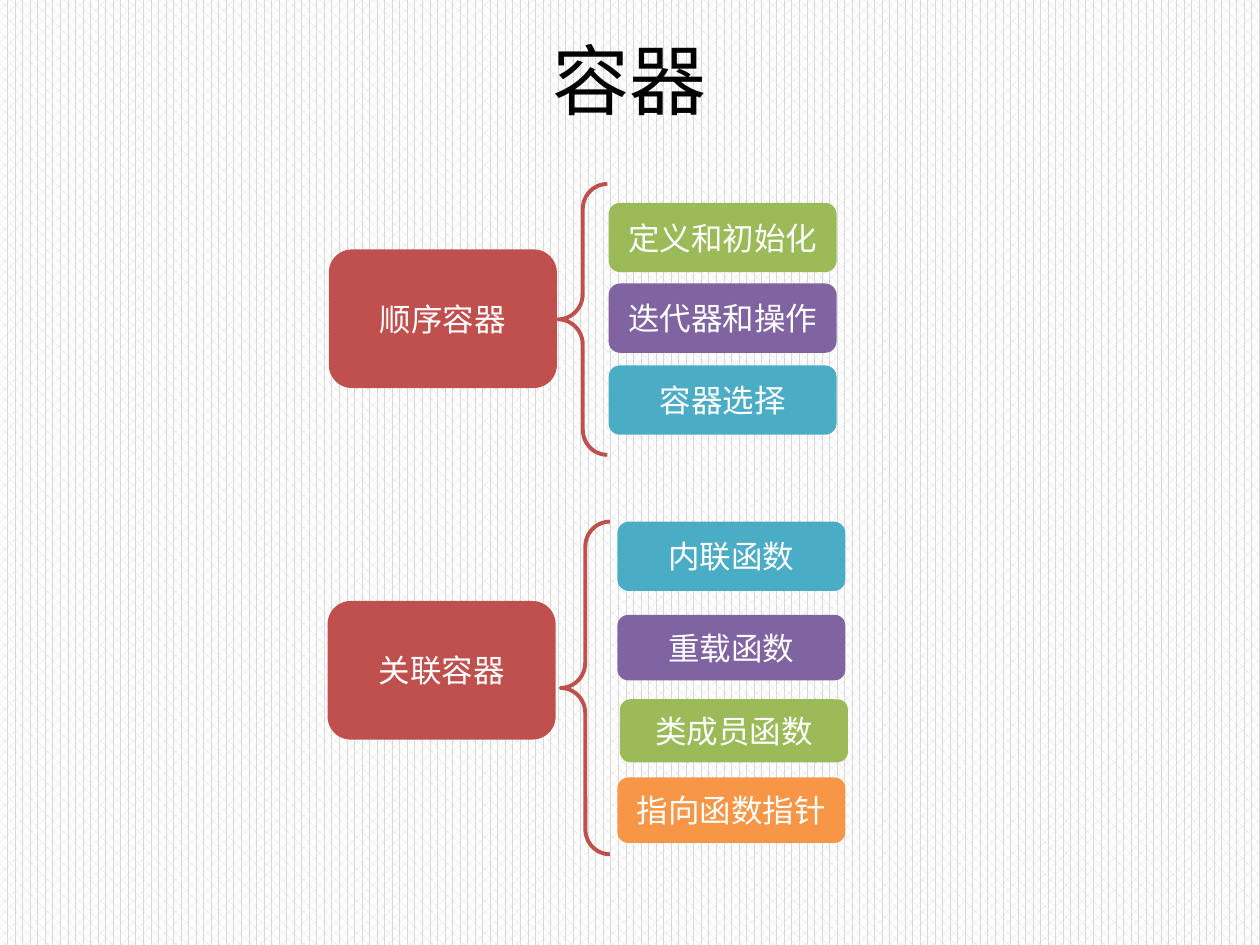
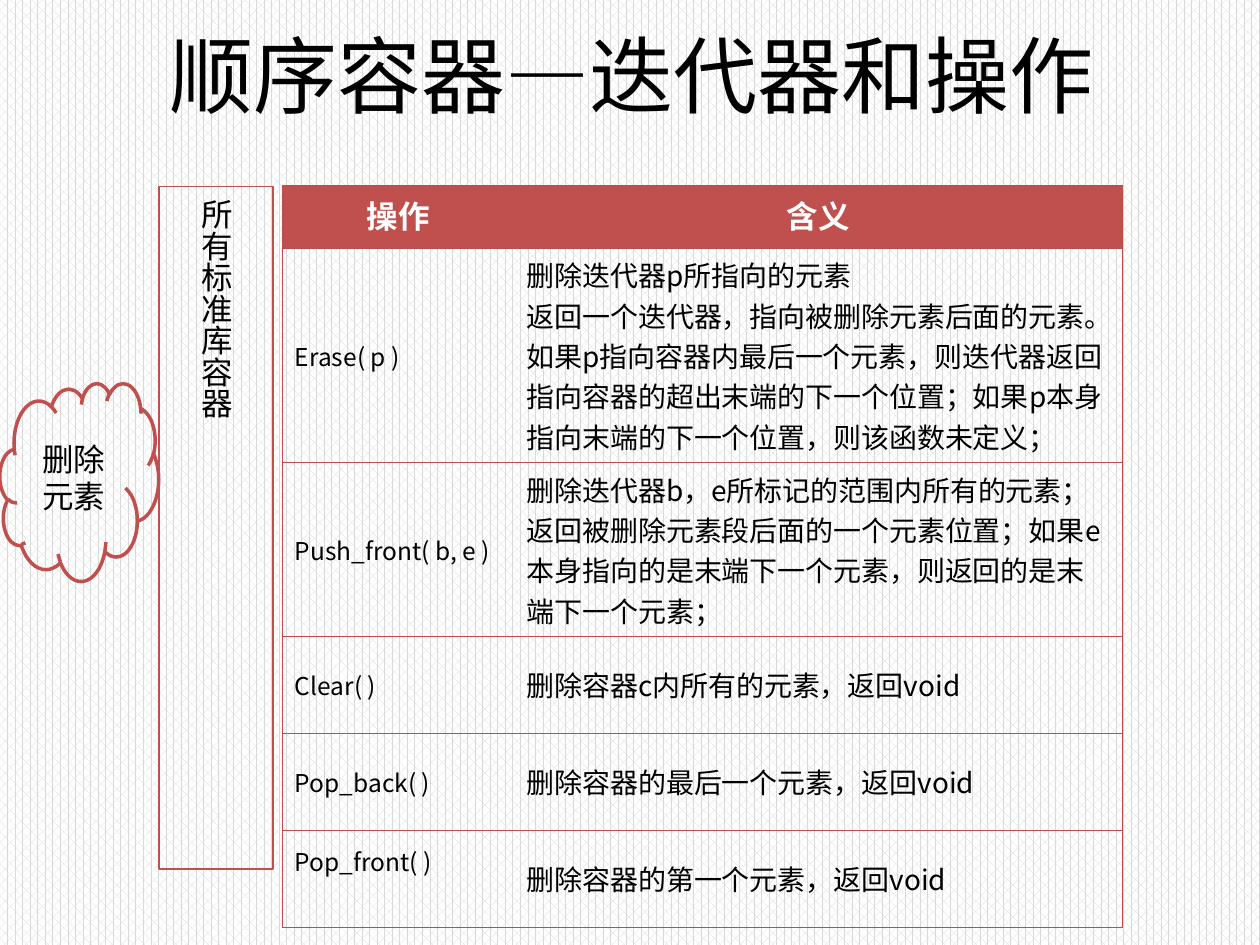
from pptx import Presentation
from pptx.dml.color import RGBColor
from pptx.enum.dml import MSO_PATTERN
from pptx.enum.shapes import MSO_SHAPE as Shape
from pptx.enum.text import MSO_ANCHOR as Anchor, PP_ALIGN as Align
from pptx.oxml.ns import qn
from pptx.util import Inches, Pt
from lxml.etree import SubElement, Element

TITLE_FONT, BODY_FONT, CLOUD_FONT = "Noto Sans CJK JP", "Noto Sans CJK SC", "Calibri"
BLACK, WHITE, GREY = "000000", "FFFFFF", "D9D9D9"
RED, GREEN, PURPLE, TEAL, ORANGE = "C0504D", "9BBB59", "8064A2", "4BACC6", "F79646"
TABLE_LINE = "BF4C48"

SEQUENCE_TOPICS = [
    ("定义和初始化", GREEN, (4.83, 1.61, 1.81, 0.55)),
    ("迭代器和操作", PURPLE, (4.83, 2.25, 1.81, 0.55)),
    ("容器选择", TEAL, (4.83, 2.9, 1.81, 0.55)),
]
ASSOCIATIVE_TOPICS = [
    ("内联函数", TEAL, (4.9, 4.14, 1.81, 0.55)),
    ("重载函数", PURPLE, (4.9, 4.88, 1.81, 0.52)),
    ("类成员函数", GREEN, (4.92, 5.55, 1.81, 0.5)),
    ("指向函数指针", ORANGE, (4.9, 6.17, 1.81, 0.52)),
]
OPERATIONS = [
    ("Erase( p )", [
        "删除迭代器p所指向的元素",
        "返回一个迭代器，指向被删除元素后面的元素。如果p指向容器内最后一个元素，"
        "则迭代器返回指向容器的超出末端的下一个位置；如果p本身指向末端的下一个位置，"
        "则该函数未定义；"]),
    ("Push_front( b, e )", [
        "删除迭代器b，e所标记的范围内所有的元素；返回被删除元素段后面的一个元素位置；"
        "如果e本身指向的是末端下一个元素，则返回的是末端下一个元素；"]),
    ("Clear( )", ["删除容器c内所有的元素，返回void"]),
    ("Pop_back( )", ["删除容器的最后一个元素，返回void"]),
    ("Pop_front( )", ["删除容器的第一个元素，返回void"]),
]


def color(value):
    """Turn a hex string into a colour."""
    return RGBColor.from_string(value)


def write(frame, lines, size, ink=BLACK, font=BODY_FONT, align=Align.CENTER, bold=False):
    """Write one paragraph per line into a text frame."""
    frame.word_wrap = True
    for index, line in enumerate(lines):
        para = frame.add_paragraph() if index else frame.paragraphs[0]
        para.alignment = align
        span = para.add_run()
        span.text = line
        span.font.size = Pt(size)
        span.font.bold = bold
        span.font.name = font
        span.font.color.rgb = color(ink)
        SubElement(span._r.get_or_add_rPr(), qn("a:ea"), typeface=font)


def add_page(deck, title, place, size):
    """Add a page with the patterned background and a title."""
    page = deck.slides.add_slide(deck.slide_layouts[6])
    fill = page.background.fill
    fill.patterned()
    fill.pattern = MSO_PATTERN.PERCENT_60
    fill.fore_color.rgb = color(GREY)
    fill.back_color.rgb = color(WHITE)
    box = page.shapes.add_textbox(*map(Inches, place))
    box.text_frame.vertical_anchor = Anchor.MIDDLE
    write(box.text_frame, [title], size, font=TITLE_FONT)
    return page


def add_shape(page, kind, place, fill=None, line=None, width=1):
    """Add a flat shape with an optional fill and outline."""
    shape = page.shapes.add_shape(kind, *map(Inches, place))
    shape.shadow.inherit = False
    if fill:
        shape.fill.solid()
        shape.fill.fore_color.rgb = color(fill)
    else:
        shape.fill.background()
    if line:
        shape.line.color.rgb = color(line)
        shape.line.width = Pt(width)
    else:
        shape.line.fill.background()
    shape.text_frame.vertical_anchor = Anchor.MIDDLE
    return shape


def add_topic(page, text, fill, place):
    """Add a rounded box with a white label."""
    box = add_shape(page, Shape.ROUNDED_RECTANGLE, place, fill)
    write(box.text_frame, [text], 18, WHITE)


def add_group(page, name, place, brace_place, topics):
    """Add a container, its brace and its topics."""
    for topic in topics:
        add_topic(page, *topic)
    add_topic(page, name, RED, place)
    brace = add_shape(page, Shape.LEFT_BRACE, brace_place, line=RED, width=2.25)
    brace.adjustments[0] = 0.515
    brace.adjustments[1] = 0.5


def set_borders(cell, sides):
    """Draw the named sides of a cell and clear the others."""
    properties = cell._tc.get_or_add_tcPr()
    for index, side in enumerate("LRTB"):
        border = Element(qn("a:ln" + side), w=str(Pt(0.75)))
        if side in sides:
            paint = SubElement(border, qn("a:solidFill"))
            SubElement(paint, qn("a:srgbClr"), val=TABLE_LINE)
        else:
            SubElement(border, qn("a:noFill"))
        properties.insert(index, border)


def add_operations(page):
    """Add the table of operations and meanings."""
    rows = [("操作", ["含义"])] + OPERATIONS
    heights = [0.5, 1.7, 1.38] + [0.77] * 3
    place = (2.24, 1.47, 6.67, sum(heights))
    frame = page.shapes.add_table(len(rows), 2, *map(Inches, place))
    table = frame.table
    table.horz_banding = False
    for column, width in zip(table.columns, (1.84, 4.83)):
        column.width = Inches(width)
    for number, (operation, meaning) in enumerate(rows):
        table.rows[number].height = Inches(heights[number])
        for column, lines in enumerate(([operation], meaning)):
            cell = table.cell(number, column)
            if number == 0:
                cell.fill.solid()
                cell.fill.fore_color.rgb = color(RED)
                write(cell.text_frame, lines, 18, WHITE, bold=True)
            else:
                cell.fill.background()
                cell.vertical_anchor = Anchor.MIDDLE
                write(cell.text_frame, lines, (14, 16)[column], align=Align.LEFT)
            set_borders(cell, "LR"[column] + "TB")
    table.cell(len(rows) - 1, 0).margin_bottom = Inches(0.33)


def build_overview(deck):
    """Build the page of container kinds."""
    page = add_page(deck, "容器", (0.5, 0, 9, 1.25), 44)
    add_group(page, "顺序容器", (2.61, 1.98, 1.81, 1.1), (4.43, 1.46, 0.39, 2.15), SEQUENCE_TOPICS)
    add_group(page, "关联容器", (2.6, 4.77, 1.81, 1.1), (4.45, 4.14, 0.39, 2.64), ASSOCIATIVE_TOPICS)


def build_removal(deck):
    """Build the page of operations that remove elements."""
    page = add_page(deck, "顺序容器—迭代器和操作", (0.51, 0.01, 9, 1.15), 48)
    add_operations(page)
    scope = add_shape(page, Shape.RECTANGLE, (1.26, 1.48, 0.91, 5.42), line=RED)
    scope.text_frame._txBody.bodyPr.set("vert", "eaVert")
    write(scope.text_frame, ["所有标准库容器"], 18, align=Align.LEFT)
    cloud = add_shape(page, Shape.CLOUD, (0, 3.04, 1.26, 1.57), line=RED, width=2)
    write(cloud.text_frame, ["删除元素"], 18, font=CLOUD_FONT)


def main():
    """Build and save the deck."""
    deck = Presentation()
    deck.slide_width, deck.slide_height = Inches(10), Inches(7.5)
    build_overview(deck)
    build_removal(deck)
    deck.save("out.pptx")


main()
